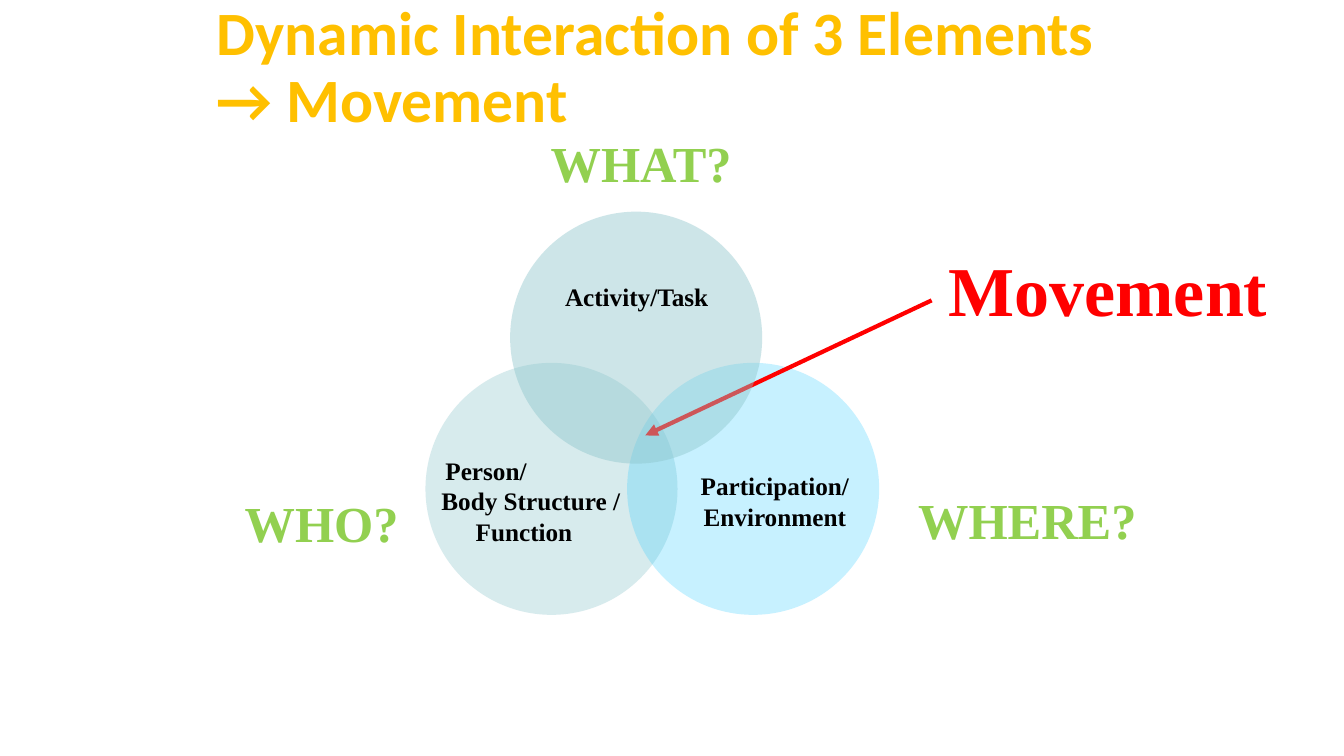
from pptx import Presentation
from pptx.dml.color import RGBColor
from pptx.enum.shapes import MSO_CONNECTOR, MSO_SHAPE
from pptx.enum.text import MSO_ANCHOR, MSO_AUTO_SIZE, PP_ALIGN
from pptx.oxml.ns import qn
from pptx.util import Inches, Pt
from lxml.etree import SubElement

GOLD = RGBColor(0xFF, 0xC0, 0x00)
GREEN = RGBColor(0x92, 0xD0, 0x50)
RED = RGBColor(0xFF, 0x00, 0x00)
BLACK = RGBColor(0x00, 0x00, 0x00)
TEAL = RGBColor(0x8E, 0xC6, 0xCC)
SKY = RGBColor(0x33, 0xCC, 0xFF)
DIAMETER = 2.5


def set_font(p, name, size, color):
    p.font.name = name
    p.font.size = Pt(size)
    p.font.bold = True
    p.font.color.rgb = color


def add_title(slide, text, x, y, w, h):
    title = slide.shapes.title
    title.left, title.top, title.width, title.height = map(Inches, (x, y, w, h))
    tf = title.text_frame
    tf.text = text
    tf.word_wrap = True
    tf.auto_size = MSO_AUTO_SIZE.NONE
    tf.vertical_anchor = MSO_ANCHOR.MIDDLE
    p = tf.paragraphs[0]
    p.alignment = PP_ALIGN.LEFT
    p.line_spacing = 0.9
    set_font(p, "Calibri", 44, GOLD)


def add_label(slide, text, x, y, w, h, size, color, indents=None):
    """Centre each line, or start it at its own indent where indents are given."""
    tb = slide.shapes.add_textbox(*map(Inches, (x, y, w, h)))
    tf = tb.text_frame
    tf.word_wrap = True
    tf.auto_size = MSO_AUTO_SIZE.SHAPE_TO_FIT_TEXT
    tf.text = text
    for i, p in enumerate(tf.paragraphs):
        if indents:
            p.alignment = PP_ALIGN.LEFT
            p._p.get_or_add_pPr().set("marL", str(Inches(indents[i])))
        else:
            p.alignment = PP_ALIGN.CENTER
        set_font(p, "Times New Roman", size, color)


def add_element(slide, x, y, color, opacity, text, dx, dy, w, h, indents=None):
    """Draw a translucent circle at x, y with its label offset by dx, dy."""
    sp = slide.shapes.add_shape(
        MSO_SHAPE.OVAL, *map(Inches, (x, y, DIAMETER, DIAMETER)))
    sp.shadow.inherit = False
    sp.fill.solid()
    sp.fill.fore_color.rgb = color
    sp.line.fill.background()
    clr = sp._element.spPr.find(qn("a:solidFill"))[0]
    SubElement(clr, qn("a:alpha")).set("val", str(opacity * 1000))
    add_label(slide, text, x + dx, y + dy, w, h, 18, BLACK, indents)


def add_movement(slide, x, y):
    """Place the Movement label and its arrow into the overlap."""
    add_label(slide, "Movement", x, y, 3.5, 0.94, 50, RED)
    arrow = slide.shapes.add_connector(
        MSO_CONNECTOR.STRAIGHT,
        *map(Inches, (x, y + 0.58, x - 2.84, y + 1.92)))
    arrow.line.color.rgb = RED
    arrow.line.width = Pt(3)
    SubElement(arrow.line._get_or_add_ln(), qn("a:tailEnd")).set("type", "triangle")
    SubElement(arrow._element.spPr, qn("a:effectLst"))


def add_questions(slide):
    for text, x, y in (("WHO?", 1.89, 4.83),
                       ("WHAT?", 5.06, 1.26),
                       ("WHERE?", 8.89, 4.8)):
        add_label(slide, text, x, y, 2.6, 0.71, 36, GREEN)


def add_venn(slide, x, y):
    """Stack the three circles, with the arrow beneath the top one."""
    add_element(slide, x, y + 1.5, TEAL, 35,
                "Person/\nBody Structure /\nFunction",
                -0.12, 0.87, 2.33, 1.01, (0.22, 0.18, 0.52))
    add_element(slide, x + 2, y + 1.5, SKY, 27, "Participation/ Environment",
                0.34, 1.02, 2.25, 0.71)
    add_movement(slide, x + 5.02, y + 0.3)
    add_element(slide, x + 0.84, y, TEAL, 44, "Activity/Task",
                0.44, 0.64, 1.63, 0.4)


def main():
    prs = Presentation()
    prs.slide_width, prs.slide_height = Inches(13.33), Inches(7.5)
    slide = prs.slides.add_slide(prs.slide_layouts[5])
    add_title(slide, "Dynamic Interaction of 3 Elements → Movement",
              2.05, 0.1, 9.24, 1.17)
    add_questions(slide)
    add_venn(slide, 4.22, 2.1)
    prs.save("out.pptx")


if __name__ == "__main__":
    main()
